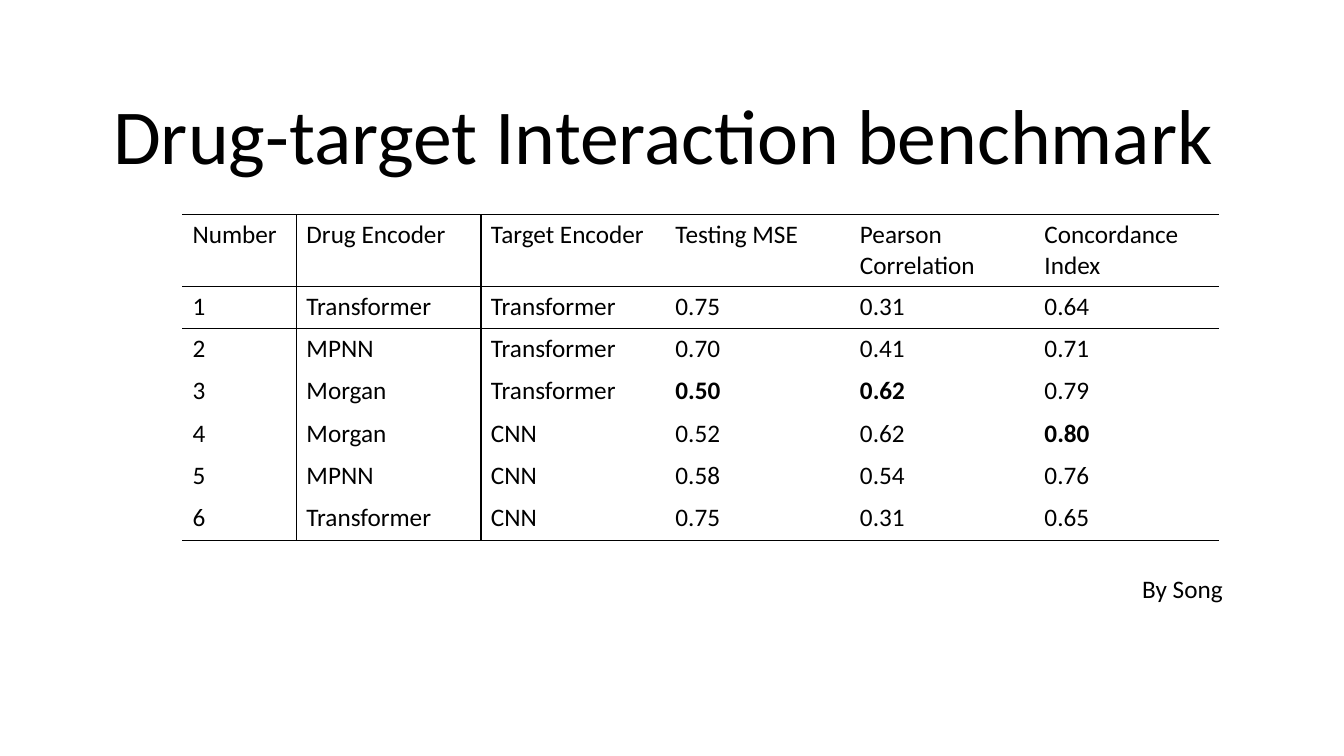
"""Build the drug-target interaction benchmark slide."""
from lxml import etree
from pptx import Presentation
from pptx.dml.color import RGBColor
from pptx.enum.text import MSO_ANCHOR, MSO_AUTO_SIZE, PP_ALIGN
from pptx.oxml.ns import qn
from pptx.util import Inches, Pt

BLACK = RGBColor(0, 0, 0)
FONT = "Calibri"
BOTTOM = MSO_ANCHOR.BOTTOM
FIT_SHAPE = MSO_AUTO_SIZE.SHAPE_TO_FIT_TEXT
CENTER = PP_ALIGN.CENTER
PLAIN_STYLE = "{2D5ABB26-0587-4C30-8999-92F81FD0307C}"

RESULTS = [
    ["Number", "Drug Encoder", "Target Encoder", "Testing MSE",
     "Pearson Correlation", "Concordance Index"],
    ["1", "Transformer", "Transformer", "0.75", "0.31", "0.64"],
    ["2", "MPNN", "Transformer", "0.70", "0.41", "0.71"],
    ["3", "Morgan", "Transformer", "0.50", "0.62", "0.79"],
    ["4", "Morgan", "CNN", "0.52", "0.62", "0.80"],
    ["5", "MPNN", "CNN", "0.58", "0.54", "0.76"],
    ["6", "Transformer", "CNN", "0.75", "0.31", "0.65"],
]
BEST_SCORES = {(3, 3), (3, 4), (4, 5)}
COLUMN_WIDTHS = [1.13] + [1.83] * 5
ROW_HEIGHTS = [0.6] + [0.42] * 6


def add_run(paragraph, text, size=18, bold=False):
    run = paragraph.add_run()
    run.text = text
    run.font.name = FONT
    run.font.size = Pt(size)
    run.font.bold = bold
    run.font.color.rgb = BLACK


def add_border(cell, side):
    line = etree.SubElement(cell._tc.get_or_add_tcPr(), qn(f"a:ln{side}"), w=str(Pt(1)))
    fill = etree.SubElement(line, qn("a:solidFill"))
    etree.SubElement(fill, qn("a:srgbClr"), val=str(BLACK))


prs = Presentation()
prs.slide_width = Inches(13.33)
prs.slide_height = Inches(7.5)
slide = prs.slides.add_slide(prs.slide_layouts[6])

benchmark_frame = slide.shapes.add_table(
    len(RESULTS), len(COLUMN_WIDTHS), Inches(1.81), Inches(2.13),
    Inches(sum(COLUMN_WIDTHS)), Inches(sum(ROW_HEIGHTS)))
benchmark = benchmark_frame.table
benchmark.first_row = False
benchmark.horz_banding = False
benchmark._tbl.tblPr.find(qn("a:tableStyleId")).text = PLAIN_STYLE
for column, width in zip(benchmark.columns, COLUMN_WIDTHS):
    column.width = Inches(width)
for row, height in zip(benchmark.rows, ROW_HEIGHTS):
    row.height = Inches(height)

last_row = len(RESULTS) - 1
for r, values in enumerate(RESULTS):
    for c, value in enumerate(values):
        cell = benchmark.cell(r, c)
        add_run(cell.text_frame.paragraphs[0], value, bold=(r, c) in BEST_SCORES)
        borders = {"L": c == 1, "R": c == 0, "T": r in (0, 1), "B": r in (0, last_row)}
        for side, drawn in borders.items():
            if drawn:
                add_border(cell, side)
        cell.fill.background()

title = slide.shapes.add_textbox(
    Inches(0.92), Inches(0.4), Inches(11.5), Inches(1.45)).text_frame
title.word_wrap = True
title.vertical_anchor = BOTTOM
title.paragraphs[0].alignment = CENTER
title.paragraphs[0].line_spacing = 0.9
add_run(title.paragraphs[0], "Drug-target Interaction benchmark ", size=55.5)

byline = slide.shapes.add_textbox(
    Inches(11.23), Inches(5.64), Inches(1.01), Inches(0.4)).text_frame
byline.word_wrap = False
byline.auto_size = FIT_SHAPE
add_run(byline.paragraphs[0], "By Song")

prs.save("out.pptx")
